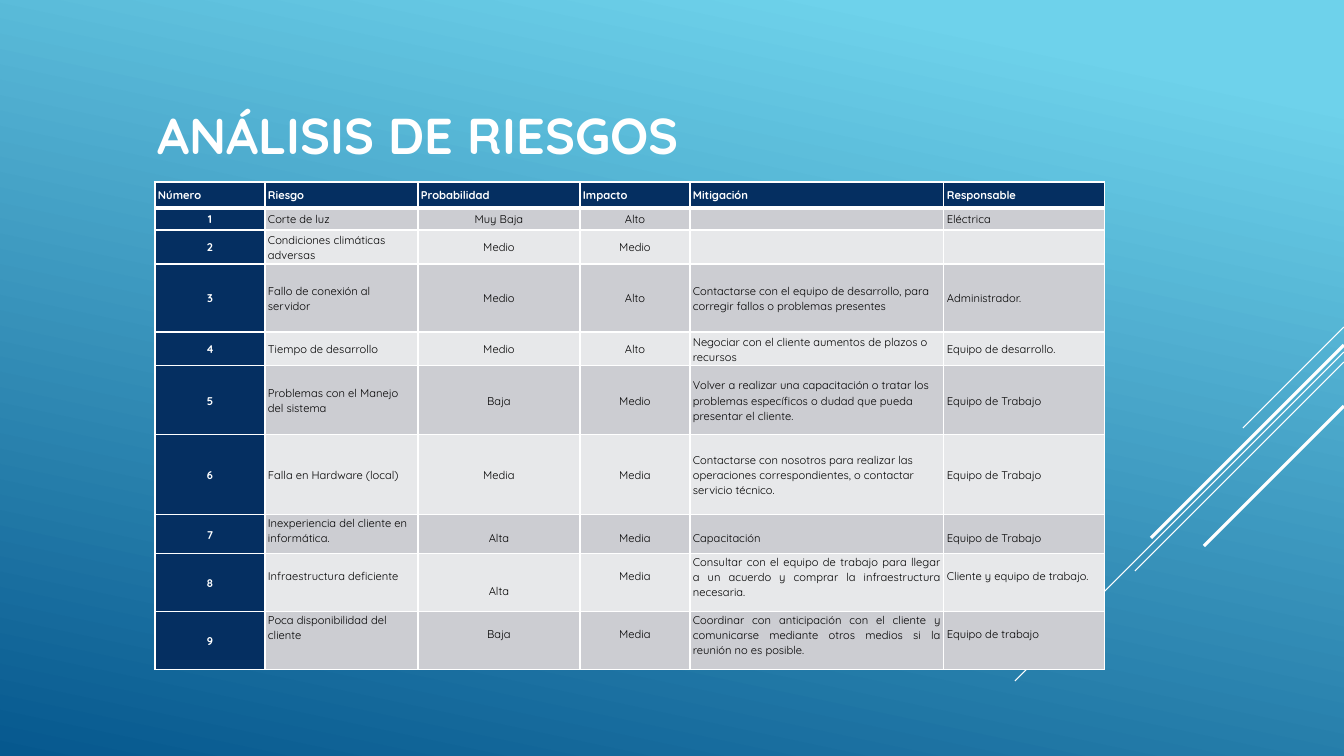
from lxml import etree
from pptx import Presentation
from pptx.dml.color import RGBColor
from pptx.enum.shapes import MSO_CONNECTOR
from pptx.enum.text import MSO_ANCHOR, PP_ALIGN
from pptx.oxml.ns import qn
from pptx.util import Emu, Pt

LEFT, CENTER, JUST = PP_ALIGN.LEFT, PP_ALIGN.CENTER, PP_ALIGN.JUSTIFY
TOP, MIDDLE = MSO_ANCHOR.TOP, MSO_ANCHOR.MIDDLE
STRAIGHT = MSO_CONNECTOR.STRAIGHT

WHITE = RGBColor(0xFF, 0xFF, 0xFF)
BLACK = RGBColor(0, 0, 0)
NAVY = RGBColor(0x05, 0x2F, 0x61)
DARK = RGBColor(0xCC, 0xCD, 0xD2)
PALE = RGBColor(0xE7, 0xE8, 0xEA)
SKY = RGBColor(0x6E, 0xD2, 0xEB)
SEA = RGBColor(0x06, 0x58, 0x8E)

FONT = "Quicksand"
WIDTH, HEIGHT = 1344, 756
LINE = 15  # height of one line of table text

COLS = [110, 153, 162, 110, 254, 161]
HEIGHTS = [26, 22, 34, 68, 34, 69, 80, 39, 58, 58]
ALIGNS = [CENTER, LEFT, CENTER, CENTER, LEFT, LEFT]
RISKS = [
    ["Número", "Riesgo", "Probabilidad", "Impacto", "Mitigación", "Responsable"],
    ["1", "Corte de luz", "Muy Baja", "Alto", "", "Eléctrica"],
    ["2", "Condiciones climáticas adversas", "Medio", "Medio", "", ""],
    ["3", "Fallo de conexión al servidor", "Medio", "Alto",
     "Contactarse con el equipo de desarrollo, para corregir fallos o "
     "problemas presentes", "Administrador."],
    ["4", "Tiempo de desarrollo", "Medio", "Alto",
     "Negociar con el cliente aumentos de plazos o recursos",
     "Equipo de desarrollo."],
    ["5", "Problemas con el Manejo del sistema", "Baja", "Medio",
     "Volver a realizar una capacitación o tratar los problemas específicos "
     "o dudad que pueda presentar el cliente.", "Equipo de Trabajo"],
    ["6", "Falla en Hardware (local)", "Media", "Media",
     "Contactarse con nosotros para realizar las operaciones "
     "correspondientes, o contactar servicio técnico.", "Equipo de Trabajo"],
    ["7", "Inexperiencia del cliente en informática.", "Alta", "Media",
     "Capacitación", "Equipo de Trabajo"],
    ["8", "Infraestructura deficiente", "Alta", "Media",
     "Consultar con el equipo de trabajo para llegar a un acuerdo y comprar "
     "la infraestructura necesaria.", "Cliente y equipo de trabajo."],
    ["9", "Poca disponibilidad del cliente", "Baja", "Media",
     "Coordinar con anticipación con el cliente y comunicarse mediante otros "
     "medios si la reunión no es posible.", "Equipo de trabajo"],
]
# Rows set from the top: lines left free above the text, per column
DROPS = {7: [0, 0, 1, 1, 1, 1], 8: [0, 1, 2, 1, 0, 1], 9: [0, 0, 1, 1, 0, 1]}

# Diagonal lines from the right edge: start y, run, weight
RAYS = [(327, 101, 0.75), (352, 329, 0.75), (362, 209, 0.75),
        (345, 193, 2.25), (406, 140, 2.25)]


def px(n):
    return Emu(round(n * 12192000 / WIDTH))


def style(para, size, color, bold):
    for run in para.runs:
        font = run.font
        font.name, font.size, font.bold = FONT, Pt(size), bold
        font.color.rgb = color


def paint(slide):
    fill = slide.background.fill
    fill.gradient()
    fill.gradient_angle = 258
    for stop, pos, color in zip(fill.gradient_stops, (0.1, 1), (SKY, SEA)):
        stop.position = pos
        stop.color.rgb = color


def add_ray(slide, y, run, weight):
    ray = slide.shapes.add_connector(
        STRAIGHT, px(WIDTH), px(y), px(WIDTH - run), px(y + run))
    ray.line.color.rgb = WHITE
    ray.line.width = Pt(weight)
    etree.SubElement(ray._element.spPr, qn("a:effectLst"))


def set_title(slide, text):
    title = slide.shapes.title
    title.left, title.top, title.width, title.height = map(px, (147, 51, 940, 166))
    frame = title.text_frame
    frame.text = text
    frame.word_wrap = True
    frame.vertical_anchor = MIDDLE
    frame.paragraphs[0].alignment = LEFT
    style(frame.paragraphs[0], 36, WHITE, True)


def add_edges(cell, row):
    props = cell._tc.get_or_add_tcPr()
    for side in "LRTB":
        thick = (row, side) in ((0, "B"), (1, "T"))
        edge = etree.SubElement(props, qn("a:ln" + side), w=str(Pt(3 if thick else 1)))
        solid = etree.SubElement(edge, qn("a:solidFill"))
        etree.SubElement(solid, qn("a:srgbClr"), val=str(WHITE))


def fill_cell(cell, row, col, text):
    head = row == 0 or col == 0
    add_edges(cell, row)
    cell.fill.solid()
    cell.fill.fore_color.rgb = NAVY if head else DARK if row % 2 else PALE
    low = row in DROPS and col > 0
    cell.vertical_anchor = TOP if low else MIDDLE
    cell.margin_left = cell.margin_right = px(3)
    cell.margin_top = px(DROPS[row][col] * LINE if low else 0)
    cell.margin_bottom = 0

    cell.text_frame.text = text
    para = cell.text_frame.paragraphs[0]
    para.line_spacing = 1.07
    para.alignment = LEFT if row == 0 else JUST if low and col > 3 else ALIGNS[col]
    style(para, 8, WHITE if head else BLACK, head)
    if not text:
        # Small end mark keeps an empty row low
        etree.SubElement(para._p, qn("a:endParaRPr"), sz="800")


def add_risks(slide):
    frame = slide.shapes.add_table(
        len(RISKS), len(COLS), px(155), px(182), px(sum(COLS)), px(sum(HEIGHTS)))
    table = frame.table
    for col, width in zip(table.columns, COLS):
        col.width = px(width)
    for row, height in zip(table.rows, HEIGHTS):
        row.height = px(height)
    for i, texts in enumerate(RISKS):
        for j, text in enumerate(texts):
            fill_cell(table.cell(i, j), i, j, text)


def main():
    deck = Presentation()
    deck.slide_width, deck.slide_height = px(WIDTH), px(HEIGHT)
    slide = deck.slides.add_slide(deck.slide_layouts[5])
    # Backdrop
    paint(slide)
    for ray in RAYS:
        add_ray(slide, *ray)
    # Content
    set_title(slide, "ANÁLISIS DE RIESGOS")
    add_risks(slide)
    deck.save("out.pptx")


if __name__ == "__main__":
    main()
